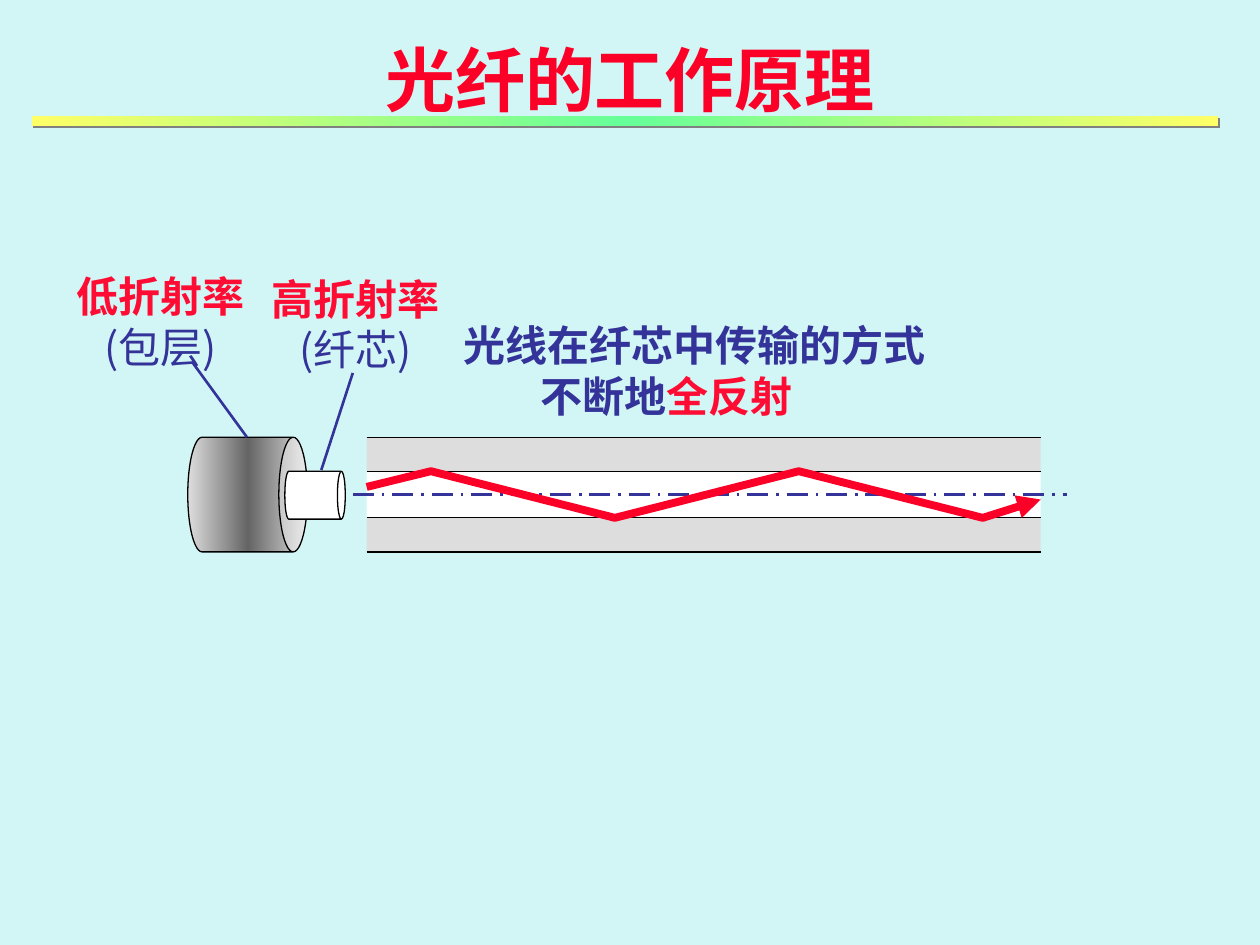
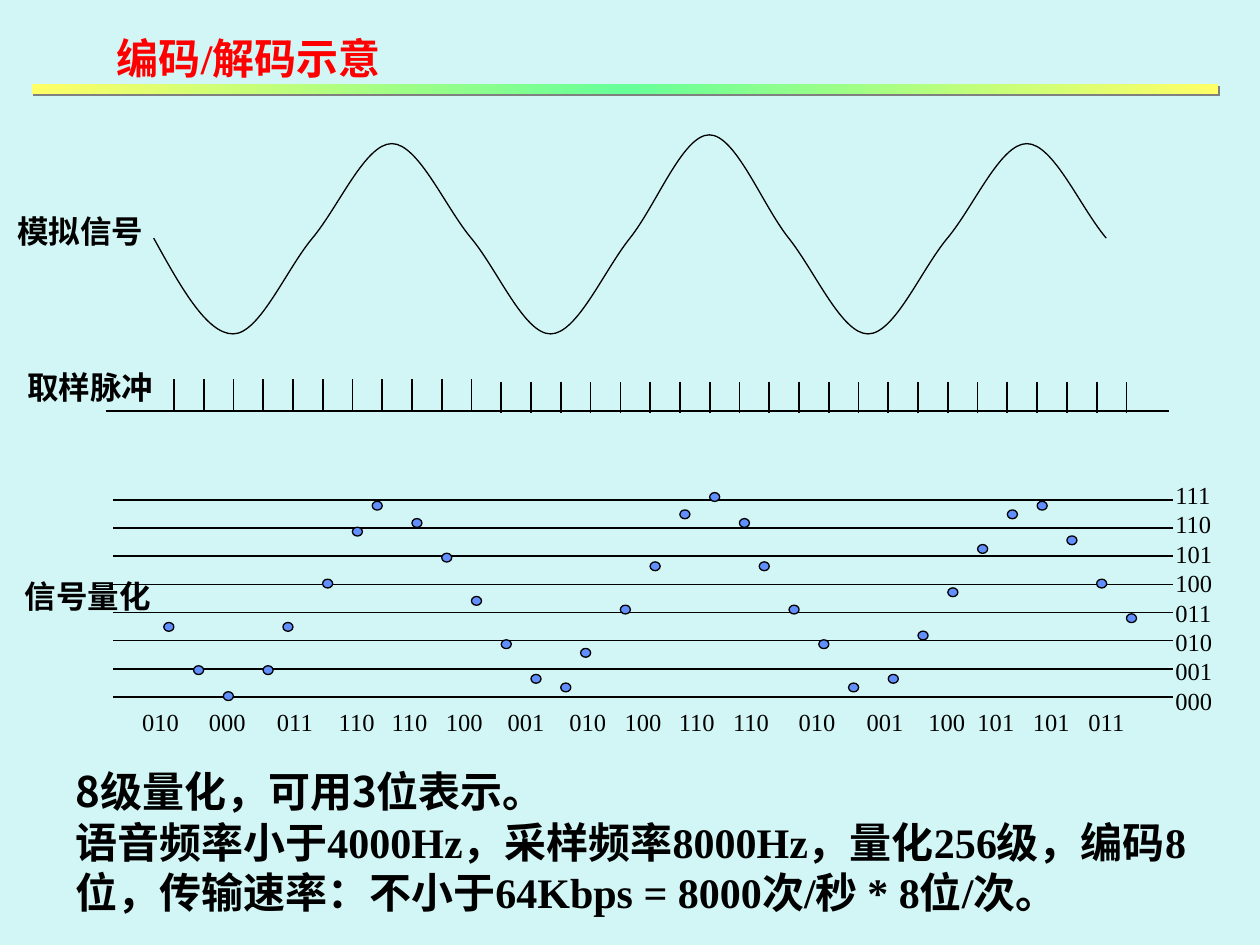
from collections import namedtuple

from lxml import etree
from pptx import Presentation
from pptx import util as u
from pptx.dml.color import RGBColor
from pptx.enum import dml, shapes, text
from pptx.oxml import ns

PALE = RGBColor(0xD2, 0xF6, 0xF5)
RED = RGBColor(0xFC, 0x01, 0x28)
PURE_RED = RGBColor(0xFF, 0x00, 0x00)
ACCENT = RGBColor(0xFE, 0x0C, 0x34)
NAVY = RGBColor(0x33, 0x33, 0x99)
BLACK = RGBColor(0x00, 0x00, 0x00)
WHITE = RGBColor(0xFF, 0xFF, 0xFF)
GREY = RGBColor(0xDD, 0xDD, 0xDD)
DARK_GREY = RGBColor(0x65, 0x65, 0x65)
SHADOW = RGBColor(0x80, 0x80, 0x80)
YELLOW = RGBColor(0xFF, 0xFF, 0x66)
GREEN = RGBColor(0x66, 0xFF, 0x99)
DOT_BLUE = RGBColor(0x61, 0x8F, 0xFD)

SERIF = "Times New Roman"
SANS = "Noto Sans CJK SC"
SHAPE = shapes.MSO_SHAPE

Box = namedtuple("Box", "left top width height")
Span = namedtuple("Span", "text color bold font", defaults=(BLACK, True, SERIF))


def add_xml(parent, tag, **attributes):
    return etree.SubElement(parent, ns.qn(tag), attributes)


# ---- shared drawing helpers ----
def add_text(page, box, size, paragraphs, align=text.PP_ALIGN.LEFT, wrap=False,
             anchor=text.MSO_ANCHOR.TOP):
    """Each paragraph is a list of spans."""
    frame = page.shapes.add_textbox(*map(u.Inches, box)).text_frame
    frame.word_wrap = wrap
    frame.vertical_anchor = anchor
    for index, spans in enumerate(paragraphs):
        para = frame.paragraphs[0] if index == 0 else frame.add_paragraph()
        para.alignment = align
        para.line_spacing = u.Pt(size * 1.2)
        for span in spans:
            run = para.add_run()
            run.text = span.text
            run.font.size = u.Pt(size)
            run.font.bold = span.bold
            run.font.color.rgb = span.color
            run.font.name = span.font
            add_xml(run.font._element, "a:ea", typeface=SANS)
    return frame


def add_line(page, start, end, color=BLACK, width=1.0):
    points = [u.Inches(value) for value in (*start, *end)]
    line = page.shapes.add_connector(shapes.MSO_CONNECTOR.STRAIGHT, *points)
    line.line.color.rgb = color
    line.line.width = u.Pt(width)
    add_xml(line._element.spPr, "a:effectLst")
    return line


def add_solid(page, kind, box, fill, outline=None):
    shape = page.shapes.add_shape(kind, *map(u.Inches, box))
    shape.shadow.inherit = False
    shape.fill.solid()
    shape.fill.fore_color.rgb = fill
    if outline is None:
        shape.line.fill.background()
    else:
        shape.line.color.rgb = outline
        shape.line.width = u.Pt(0.75)
    return shape


def add_path(page, points, color, width):
    (first, *rest) = [tuple(map(u.Inches, point)) for point in points]
    builder = page.shapes.build_freeform(*first, scale=1.0)
    builder.add_line_segments(rest, close=False)
    path = builder.convert_to_shape()
    path.shadow.inherit = False
    path.fill.background()
    path.line.color.rgb = color
    path.line.width = u.Pt(width)
    return path


def set_gradient(shape, edge, middle, angle):
    """Fill with a gradient that is the same at both ends."""
    properties = shape._element.spPr
    gradient = etree.Element(ns.qn("a:gradFill"), rotWithShape="1")
    stops = add_xml(gradient, "a:gsLst")
    for place, color in ((0, edge), (50, middle), (100, edge)):
        stop = add_xml(stops, "a:gs", pos=str(place * 1000))
        add_xml(stop, "a:srgbClr", val=str(color))
    add_xml(gradient, "a:lin", ang=str(angle * 60000), scaled="0")
    solid = properties.find(ns.qn("a:solidFill"))
    properties.replace(solid, gradient)


def new_page(deck):
    page = deck.slides.add_slide(deck.slide_layouts[6])
    page.background.fill.solid()
    page.background.fill.fore_color.rgb = PALE
    return page


def title_band(page, top):
    band = add_solid(page, SHAPE.RECTANGLE, Box(0.25, top, 9.42, 0.08), YELLOW)
    set_gradient(band, YELLOW, GREEN, 0)
    effects = band._element.spPr.find(ns.qn("a:effectLst"))
    shadow = add_xml(effects, "a:outerShdw", dist=str(u.Pt(1.4)), dir="2700000",
                     algn="ctr", rotWithShape="0")
    add_xml(shadow, "a:srgbClr", val=str(SHADOW))


# ---- slide 1: how optical fibre works ----
def fibre_end(page, box):
    """Cladding and core seen from outside, drawn as cans lying on their side."""
    cladding = add_solid(page, SHAPE.CAN, Box(box.left, box.top, 0.91, 0.95), GREY, BLACK)
    core = add_solid(page, SHAPE.CAN, Box(box.left + 0.8, box.top + 0.24, 0.38, 0.48),
                     WHITE, BLACK)
    for can, depth in ((cladding, 0.25), (core, 0.164)):
        can.rotation = 90
        can.adjustments[0] = depth
    set_gradient(cladding, GREY, DARK_GREY, 90)


def fibre_section(page, box):
    """Lengthwise section with the ray bouncing inside the core."""
    wall = 0.27
    right, bottom = box.left + box.width, box.top + box.height
    core_top, core_bottom = box.top + wall, bottom - wall
    layers = ((box.top, wall, GREY), (core_top, box.height - 2 * wall, WHITE),
              (core_bottom, wall, GREY))
    for top, height, color in layers:
        add_solid(page, SHAPE.RECTANGLE, Box(box.left, top, box.width, height), color)
    for y in (box.top, core_top, core_bottom, bottom):
        add_line(page, (box.left, y), (right, y), BLACK, 0.75)

    middle = box.top + box.height / 2
    axis = add_line(page, (box.left - 0.11, middle), (right + 0.21, middle), NAVY, 1.5)
    axis.line.dash_style = dml.MSO_LINE.LONG_DASH_DOT

    bounces = [(0.51 + 1.46 * step, core_bottom if step % 2 else core_top)
               for step in range(4)]
    corners = [(0, middle - 0.06), *bounces, (box.width, middle + 0.04)]
    ray = add_path(page, [(box.left + x, y) for x, y in corners], RED, 4.5)
    add_xml(ray.line._get_or_add_ln(), "a:tailEnd", type="triangle")


def layer_label(page, box, index_name, layer_name, pointer):
    spans = [[Span(index_name, ACCENT, True, SANS)],
             [Span(layer_name, NAVY, False, SANS)]]
    add_text(page, box, 24, spans, text.PP_ALIGN.CENTER)
    add_line(page, *pointer, NAVY, 1.5)


def fibre_slide(deck):
    page = new_page(deck)
    add_text(page, Box(0.75, 0, 8.5, 1.25), 40, [[Span("光纤的工作原理", RED)]],
             text.PP_ALIGN.CENTER, True, text.MSO_ANCHOR.MIDDLE)
    fibre_end(page, Box(1.51, 3.45, 1.2, 0.95))
    fibre_section(page, Box(2.91, 3.47, 5.35, 0.91))
    layer_label(page, Box(2.06, 2.12, 1.53, 0.9), "高折射率", "(纤芯)",
                ((2.8, 2.96), (2.55, 3.73)))
    layer_label(page, Box(0.51, 2.1, 1.53, 0.9), "低折射率", "(包层)",
                ((1.53, 2.88), (1.96, 3.47)))
    caption = add_text(page, Box(3.58, 2.49, 5.2, 0.9), 24, [
        [Span("光线在纤芯中传输的方式", NAVY, True, SANS)],
        [Span("不断地", NAVY, True, SANS), Span("全反射", ACCENT, True, SANS)],
    ], wrap=True)
    caption.paragraphs[1]._p.get_or_add_pPr().set("marL", str(u.Inches(0.61)))
    title_band(page, 0.92)


# ---- slide 2: coding and decoding ----
WAVE_RISES = [0, -0.76, 0, 0.75, 0, -0.76, 0, 0.82, 0, -0.76, 0, 0.75, 0]
DOT_COLUMNS = [0, 3, 6, 10, 12, 16, 19, 21, 25, 28, 31, 34, 37, 40, 42, 46, 49,
               52, 55, 58, 60, 63, 66, 69, 73, 76, 79, 82, 85, 88, 91, 94, 97]
DOT_ROWS = [15, 20, 23, 20, 15, 10, 4, 1, 3, 7, 12, 17, 21, 22, 18, 13, 8,
            2, 0, 3, 8, 13, 17, 22, 21, 16, 11, 6, 2, 1, 5, 10, 14]
SAMPLE_CODES = ["010", "000", "011", "110", "110", "100", "001", "010", "100",
                "110", "110", "010", "001", "100", "101", "101", "011"]
CODE_STOPS = [0.53, 1.07, 1.56, 1.98, 2.41, 2.9, 3.39, 3.83, 4.26, 4.69,
              5.21, 5.75, 6.24, 6.63, 7.07, 7.51]


def analog_wave(page, box):
    """Smooth curve through the zero crossings and peaks."""
    step = box.width / (len(WAVE_RISES) - 1)
    middle = box.top + 0.82
    knots = [(box.left + step * k, middle - rise) for k, rise in enumerate(WAVE_RISES)]
    slopes = [0.38, *((after[1] - before[1]) / 6
                      for before, after in zip(knots, knots[2:])), 0.25]
    points = [knots[0]]
    for k in range(len(knots) - 1):
        (x1, y1), (x2, y2) = knots[k], knots[k + 1]
        points += [(x1 + step / 3, y1 + slopes[k]),
                   (x2 - step / 3, y2 - slopes[k + 1]), (x2, y2)]
    wave = add_path(page, points, BLACK, 0.75)
    # Turn every three straight pieces into one cubic curve
    outline = wave._element.find(".//" + ns.qn("a:path"))
    pieces = outline.findall(ns.qn("a:lnTo"))
    for first in range(0, len(pieces), 3):
        curve = add_xml(outline, "a:cubicBezTo")
        for piece in pieces[first:first + 3]:
            curve.append(piece[0])
            outline.remove(piece)


def sampling_pulses(page, box):
    base = box.top + box.height
    add_line(page, (box.left, base), (box.left + box.width, base))
    for k in range(33):
        x = box.left + 0.54 + 7.56 / 32 * k
        top = box.top if k < 11 else box.top + 0.02
        add_line(page, (x, top), (x, top + 0.25))


def quantizing_levels(page, box):
    for level in range(8):
        y = box.top + box.height / 7 * level
        add_line(page, (box.left, y), (box.left + box.width, y))


def quantized_samples(page, box):
    for column, row in zip(DOT_COLUMNS, DOT_ROWS):
        dot = Box(box.left + 0.4 + 7.64 / 97 * column, box.top - 0.06 + 1.58 / 23 * row,
                  0.08, 0.07)
        add_solid(page, SHAPE.OVAL, dot, DOT_BLUE, BLACK)


def code_labels(page, box):
    """Codes of the samples below the plot, codes of the levels to its right."""
    frame = add_text(page, Box(box.left + 0.13, box.top + 1.59, 8.1, 0.34), 14,
                     [[Span("\t".join(SAMPLE_CODES), BLACK, False)]], wrap=True)
    stops = add_xml(frame.paragraphs[0]._p.get_or_add_pPr(), "a:tabLst")
    for stop in CODE_STOPS:
        add_xml(stops, "a:tab", pos=str(u.Inches(stop)), algn="l")
    levels = [[Span(f"{level:03b}", BLACK, False)] for level in range(7, -1, -1)]
    add_text(page, Box(box.left + 8.33, box.top - 0.21, 0.49, 1.97), 14, levels)


def coding_slide(deck):
    page = new_page(deck)
    plot = Box(0.9, 3.97, 8.41, 1.56)
    quantizing_levels(page, plot)
    add_text(page, Box(0.5, 6.03, 9.3, 1.3), 24, [
        [Span("8级量化，可用3位表示。", font=SANS)],
        [Span("语音频率小于4000Hz，采样频率8000Hz，量化256级，编码8位，"
              "传输速率：不小于64Kbps = 8000次/秒 * 8位/次。")],
    ], wrap=True)
    add_text(page, Box(0.83, 0.21, 2.45, 0.5), 24, [[Span("编码/解码示意", PURE_RED)]])
    title_band(page, 0.67)
    analog_wave(page, Box(1.22, 1.07, 7.56, 1.58))
    sampling_pulses(page, Box(0.84, 3.01, 8.44, 0.25))
    quantized_samples(page, plot)
    code_labels(page, plot)
    for left, top, name in ((0.04, 1.63, "模拟信号"), (0.12, 2.87, "取样脉冲"),
                            (0.1, 4.53, "信号量化")):
        add_text(page, Box(left, top, 1.2, 0.4), 18, [[Span(name)]])


def main():
    deck = Presentation()
    deck.slide_width, deck.slide_height = u.Inches(10), u.Inches(7.5)
    fibre_slide(deck)
    coding_slide(deck)
    deck.save("out.pptx")


if __name__ == "__main__":
    main()
